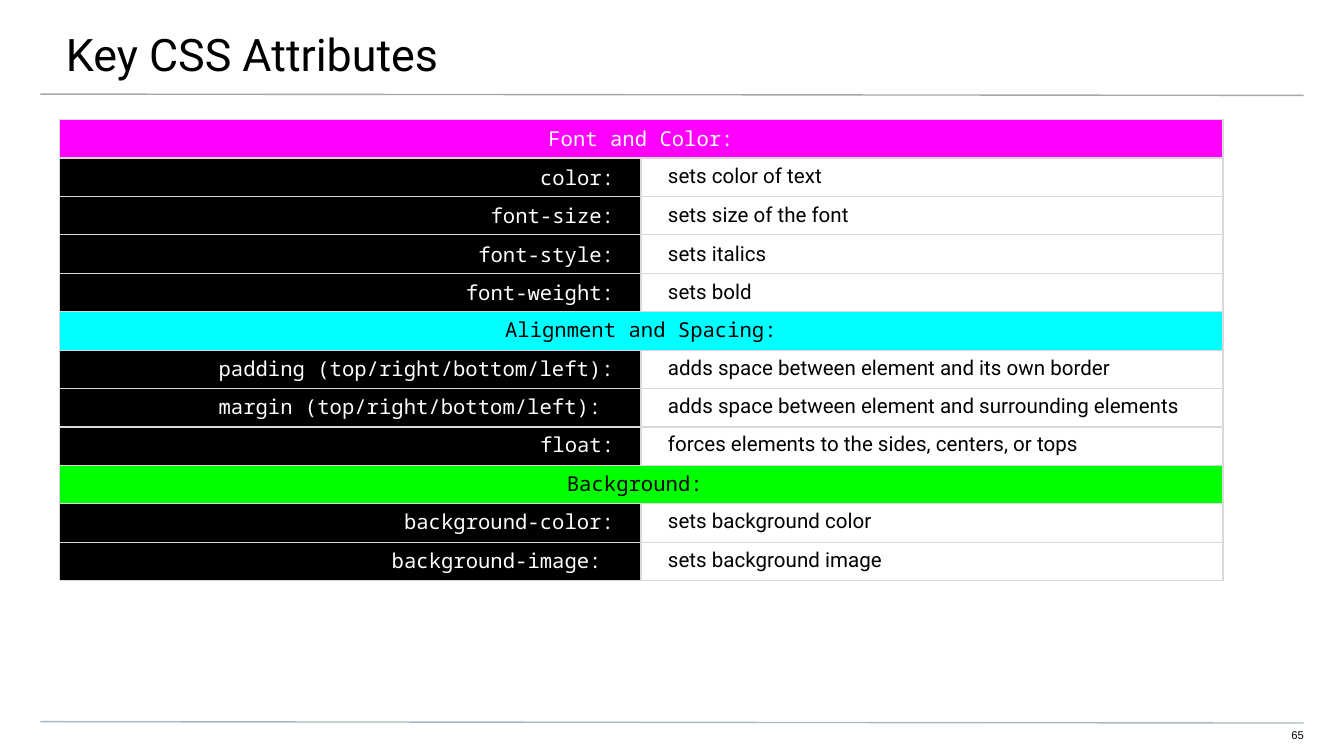
from dataclasses import dataclass
from typing import Optional

from lxml.etree import SubElement
from pptx import Presentation
from pptx.dml.color import RGBColor
from pptx.enum.shapes import MSO_CONNECTOR
from pptx.enum.text import MSO_ANCHOR, PP_ALIGN
from pptx.oxml.ns import qn
from pptx.slide import Slide
from pptx.table import _Cell
from pptx.text.text import _Paragraph
from pptx.util import Inches, Pt


@dataclass(frozen=True)
class Theme:
    black: str = "000000"
    white: str = "FFFFFF"
    font_band: str = "FF00FF"
    spacing_band: str = "00FFFF"
    background_band: str = "00FF00"
    cell_border: str = "D9D9D9"
    title_rule: str = "A7A7A7"
    footer_rule: str = "A9B7C0"
    body_font: str = "Roboto"
    code_font: str = "Noto Sans Mono"
    number_font: str = "Arial"
    title_size: float = 24
    table_size: float = 11
    number_size: float = 6
    line_width: float = 0.75


THEME = Theme()


@dataclass(frozen=True)
class Attribute:
    name: str
    effect: str
    tight_name: bool = True
    tight_effect: bool = True


@dataclass(frozen=True)
class Section:
    heading: str
    band: str
    heading_color: str
    tight_heading: bool
    attributes: tuple[Attribute, ...]


@dataclass(frozen=True)
class Rule:
    top: float
    color: str


@dataclass(frozen=True)
class Label:
    text: str
    box: tuple[float, float, float, float]
    insets: tuple[float, float, float, float]
    font: str
    size: float
    align: PP_ALIGN


SECTIONS = (
    Section("Font and Color:", THEME.font_band, THEME.white, False, (
        Attribute("color:", "sets color of text", tight_name=False),
        Attribute("font-size:", "sets size of the font", False, False),
        Attribute("font-style:", "sets italics", False, False),
        Attribute("font-weight:", "sets bold", False, False),
    )),
    Section("Alignment and Spacing:", THEME.spacing_band, THEME.black, True, (
        Attribute("padding (top/right/bottom/left):",
                  "adds space between element and its own border"),
        Attribute("margin (top/right/bottom/left): ",
                  "adds space between element and surrounding elements"),
        Attribute("float:", "forces elements to the sides, centers, or tops"),
    )),
    Section("Background: ", THEME.background_band, THEME.black, True, (
        Attribute("background-color:", "sets background color"),
        Attribute("background-image: ", "sets background image"),
    )),
)

RULES = (Rule(0.7, THEME.title_rule), Rule(5.37, THEME.footer_rule))

LABELS = (
    Label("Key CSS Attributes", (-0.01, 0, 10.03, 0.58), (0.5, 0.2, 0.3, 0.1),
          THEME.body_font, THEME.title_size, PP_ALIGN.LEFT),
    Label("65", (9.41, 5.42, 0.29, 0.12), (0, 0, 0, 0.1),
          THEME.number_font, THEME.number_size, PP_ALIGN.RIGHT),
)


def style_paragraph(paragraph: _Paragraph, font: str, size: float, color: str,
                    align: PP_ALIGN) -> None:
    paragraph.alignment = align
    for run in paragraph.runs:
        run.font.name = font
        run.font.size = Pt(size)
        run.font.color.rgb = RGBColor.from_string(color)


def draw_rule(slide: Slide, rule: Rule) -> None:
    line = slide.shapes.add_connector(
        MSO_CONNECTOR.STRAIGHT, Inches(0.3), Inches(rule.top),
        Inches(9.7), Inches(rule.top + 0.01))
    line.line.color.rgb = RGBColor.from_string(rule.color)
    line.line.width = Pt(THEME.line_width)
    SubElement(line._element.spPr, qn("a:effectLst"))


def draw_label(slide: Slide, label: Label) -> None:
    frame = slide.shapes.add_textbox(*map(Inches, label.box)).text_frame
    frame.word_wrap = True
    (frame.margin_left, frame.margin_top,
     frame.margin_right, frame.margin_bottom) = map(Inches, label.insets)
    frame.text = label.text
    style_paragraph(frame.paragraphs[0], label.font, label.size,
                    THEME.black, label.align)


def add_borders(cell: _Cell) -> None:
    properties = cell._tc.get_or_add_tcPr()
    for side in ("a:lnL", "a:lnR", "a:lnT", "a:lnB"):
        border = SubElement(properties, qn(side), w=str(Pt(THEME.line_width)))
        fill = SubElement(border, qn("a:solidFill"))
        SubElement(fill, qn("a:srgbClr"), val=THEME.cell_border)


def fill_cell(cell: _Cell, text: str, font: str, color: str, align: PP_ALIGN,
              tight: bool, background: Optional[str] = None) -> None:
    """Write one cell; tight text has reduced line spacing and no space after."""
    cell.vertical_anchor = MSO_ANCHOR.MIDDLE
    cell.margin_left = cell.margin_right = Inches(0.2)
    cell.margin_top = cell.margin_bottom = 0
    if background:
        cell.fill.solid()
        cell.fill.fore_color.rgb = RGBColor.from_string(background)
    else:
        cell.fill.background()
    cell.text_frame.text = text
    paragraph = cell.text_frame.paragraphs[0]
    if tight:
        paragraph.line_spacing = 0.8
    else:
        paragraph.space_after = Pt(2)
    style_paragraph(paragraph, font, THEME.table_size, color, align)


def draw_attribute_table(slide: Slide, sections: tuple[Section, ...]) -> None:
    row_count = sum(1 + len(section.attributes) for section in sections)
    table = slide.shapes.add_table(
        row_count, 2, Inches(0.44), Inches(0.89),
        Inches(8.66), Inches(3.43)).table
    table.first_row = table.horz_banding = False
    for cell in table.iter_cells():
        add_borders(cell)
        cell.fill.background()

    row = 0
    for section in sections:
        heading = table.cell(row, 0)
        heading.merge(table.cell(row, 1))
        fill_cell(heading, section.heading, THEME.code_font,
                  section.heading_color, PP_ALIGN.CENTER,
                  section.tight_heading, section.band)
        for row, attribute in enumerate(section.attributes, row + 1):
            fill_cell(table.cell(row, 0), attribute.name, THEME.code_font,
                      THEME.white, PP_ALIGN.RIGHT, attribute.tight_name,
                      THEME.black)
            fill_cell(table.cell(row, 1), attribute.effect, THEME.body_font,
                      THEME.black, PP_ALIGN.LEFT, attribute.tight_effect)
        row += 1


def main() -> None:
    presentation = Presentation()
    presentation.slide_width = Inches(10)
    presentation.slide_height = presentation.slide_width * 9 // 16
    slide = presentation.slides.add_slide(presentation.slide_layouts[6])
    for rule in RULES:
        draw_rule(slide, rule)
    for label in LABELS:
        draw_label(slide, label)
    draw_attribute_table(slide, SECTIONS)
    presentation.save("out.pptx")


if __name__ == "__main__":
    main()
